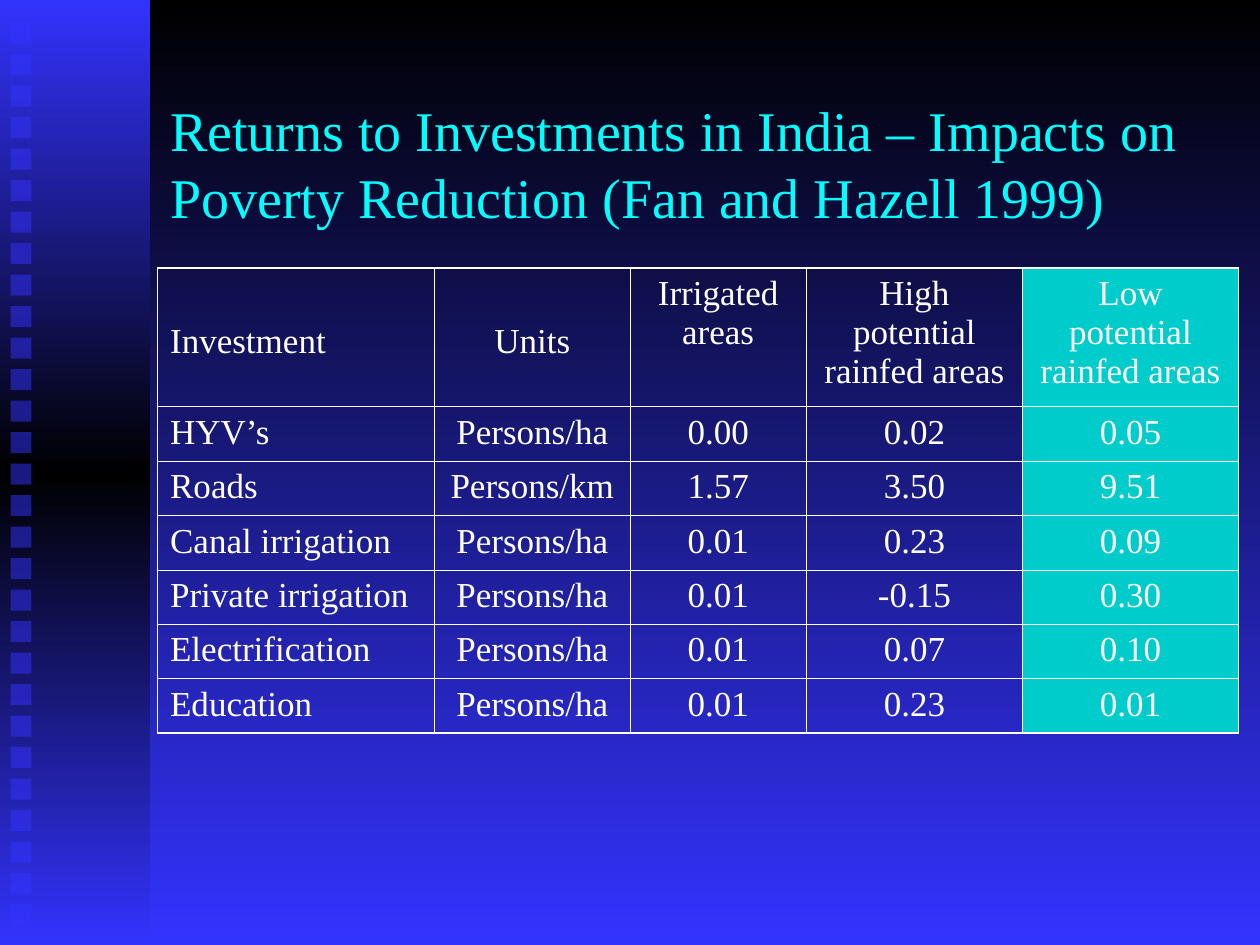
from dataclasses import dataclass

from lxml.etree import SubElement
from pptx import Presentation
from pptx.dml.color import RGBColor
from pptx.enum.shapes import MSO_SHAPE
from pptx.enum.text import MSO_ANCHOR, MSO_AUTO_SIZE, PP_ALIGN
from pptx.oxml.ns import qn
from pptx.util import Pt

COLORS = {"blue": "3333FF", "black": "000000", "cyan": "00FFFF",
          "teal": "00CCCC", "white": "FFFFFF"}
FONT = "Times New Roman"
THIN, THICK = 0.45, 1.08


@dataclass
class Column:
    heading: str
    width: float
    align: PP_ALIGN = PP_ALIGN.CENTER
    top_margin: float = 3.6  # of the heading cell
    fill: str = ""


@dataclass
class Box:
    left: float
    top: float
    width: float
    height: float


COLUMNS = [
    Column("Investment", 158.4, PP_ALIGN.LEFT, 31),
    Column("Units", 111.6, top_margin=31),
    Column("Irrigated areas", 100.8),
    Column("High potential rainfed areas", 123.5),
    Column("Low potential rainfed areas", 123.5, fill="teal"),
]
ROWS = [
    ("HYV’s", "Persons/ha", "0.00", "0.02", "0.05"),
    ("Roads", "Persons/km", "1.57", "3.50", "9.51"),
    ("Canal irrigation", "Persons/ha", "0.01", "0.23", "0.09"),
    ("Private irrigation", "Persons/ha", "0.01", "-0.15", "0.30"),
    ("Electrification", "Persons/ha", "0.01", "0.07", "0.10"),
    ("Education", "Persons/ha", "0.01", "0.23", "0.01"),
]
HEAD_HEIGHT, ROW_HEIGHT = 79.2, 31.1


def rgb(name: str) -> RGBColor:
    return RGBColor.from_string(COLORS[name])


def set_gradient(fill, element, names: list[str]) -> None:
    """Vertical gradient with evenly spaced stops."""
    fill.gradient()
    fill.gradient_angle = 270
    stops = next(element.iter(qn("a:gsLst")))
    for old in list(stops):
        stops.remove(old)
    for i, name in enumerate(names):
        gs = SubElement(stops, qn("a:gs"), pos=str(100000 * i // (len(names) - 1)))
        SubElement(gs, qn("a:srgbClr"), val=COLORS[name])


def add_rect(s, box: Box):
    sp = s.shapes.add_shape(MSO_SHAPE.RECTANGLE, Pt(box.left), Pt(box.top),
                            Pt(box.width), Pt(box.height))
    sp.shadow.inherit = False
    sp.line.fill.background()
    return sp


def add_square(s, box: Box) -> None:
    sp = add_rect(s, box)
    sp.fill.solid()
    sp.fill.fore_color.rgb = rgb("blue")
    color = next(sp._element.spPr.iter(qn("a:srgbClr")))
    SubElement(color, qn("a:alpha"), val="50000")


def format_font(font, size: float, color: str) -> None:
    for key, value in {"name": FONT, "size": Pt(size), "bold": False}.items():
        setattr(font, key, value)
    font.color.rgb = rgb(color)


def set_borders(cell, widths: dict[str, float]) -> None:
    tc_pr = cell._tc.get_or_add_tcPr()
    for i, (side, width) in enumerate(widths.items()):
        ln = SubElement(tc_pr, qn(f"a:ln{side}"), w=str(Pt(width)))
        SubElement(SubElement(ln, qn("a:solidFill")), qn("a:srgbClr"),
                   val=COLORS["white"])
        tc_pr.insert(i, ln)


def fill_cell(cell, text: str, col: Column) -> None:
    if col.fill:
        cell.fill.solid()
        cell.fill.fore_color.rgb = rgb(col.fill)
    else:
        cell.fill.background()
    p = cell.text_frame.paragraphs[0]
    p.alignment = col.align
    r = p.add_run()
    r.text = text
    format_font(r.font, 20, "white")


def add_returns_table(s, left: float, top: float) -> None:
    rows = [tuple(c.heading for c in COLUMNS), *ROWS]
    width = sum(c.width for c in COLUMNS)
    height = HEAD_HEIGHT + ROW_HEIGHT * len(ROWS)
    table = s.shapes.add_table(len(rows), len(COLUMNS), Pt(left), Pt(top),
                               Pt(width), Pt(height)).table
    table.first_row = table.horz_banding = False
    last_row, last_col = len(rows) - 1, len(COLUMNS) - 1
    for j, col in enumerate(COLUMNS):
        table.columns[j].width = Pt(col.width)
    for i, row in enumerate(rows):
        table.rows[i].height = Pt(ROW_HEIGHT if i else HEAD_HEIGHT)
        for j, (text, col) in enumerate(zip(row, COLUMNS)):
            cell = table.cell(i, j)
            fill_cell(cell, text, col)
            if i == 0:
                cell.margin_top = Pt(col.top_margin)
            outer = {"L": j == 0, "R": j == last_col, "T": i == 0, "B": i == last_row}
            set_borders(cell, {k: THICK if v else THIN for k, v in outer.items()})


def add_title(s, text: str, box: Box) -> None:
    sp = s.shapes.title
    for key in ("left", "top", "width", "height"):
        setattr(sp, key, Pt(getattr(box, key)))
    tf = sp.text_frame
    for key, value in {"word_wrap": True, "auto_size": MSO_AUTO_SIZE.NONE,
                       "vertical_anchor": MSO_ANCHOR.MIDDLE}.items():
        setattr(tf, key, value)
    p = tf.paragraphs[0]
    p.alignment = PP_ALIGN.LEFT
    r = p.add_run()
    r.text = text
    format_font(r.font, 32, "cyan")


def main() -> None:
    prs = Presentation()
    prs.slide_width, prs.slide_height = Pt(720), Pt(540)
    s = prs.slides.add_slide(prs.slide_layouts[5])

    # Background and side bar
    set_gradient(s.background.fill, s._element, ["black", "blue"])
    bar = add_rect(s, Box(0, 0, 85.7, 540))
    set_gradient(bar.fill, bar._element, ["blue", "black", "blue"])
    for i in range(29):
        add_square(s, Box(6, 12.96 + 18 * i, 12, 12))

    # Title and table
    add_title(s, "Returns to Investments in India – Impacts on "
                 "Poverty Reduction (Fan and Hazell 1999)", Box(90, 48, 630, 90))
    add_returns_table(s, 90, 153.2)

    prs.save("out.pptx")


if __name__ == "__main__":
    main()
